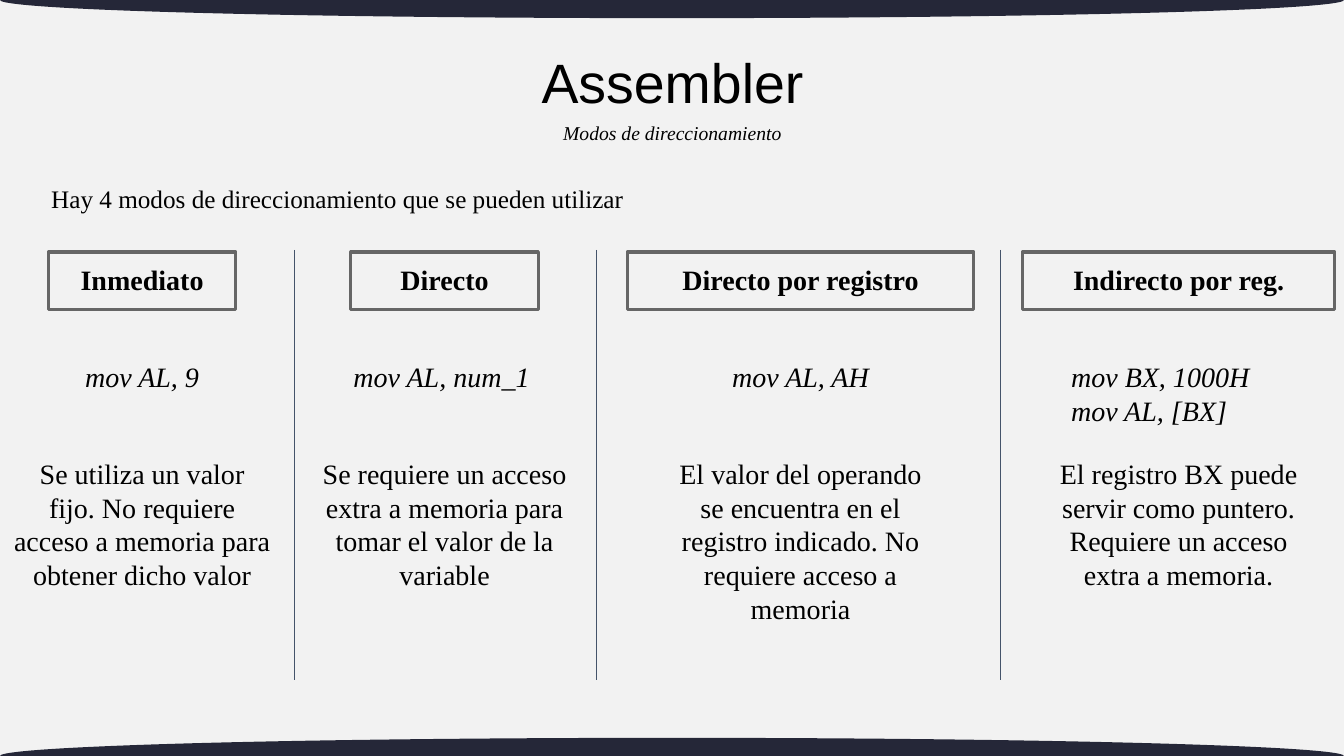
from pptx import Presentation
from pptx.dml.color import RGBColor
from pptx.enum.shapes import MSO_CONNECTOR, MSO_SHAPE
from pptx.enum.text import MSO_ANCHOR, PP_ALIGN
from pptx.oxml.ns import qn
from pptx.util import Inches, Pt
from lxml import etree

RECTANGLE, OVAL = MSO_SHAPE.RECTANGLE, MSO_SHAPE.OVAL
STRAIGHT = MSO_CONNECTOR.STRAIGHT
LEFT, CENTER = PP_ALIGN.LEFT, PP_ALIGN.CENTER
TOP, MIDDLE = MSO_ANCHOR.TOP, MSO_ANCHOR.MIDDLE

BLACK = RGBColor(0x00, 0x00, 0x00)
PAPER = RGBColor(0xF2, 0xF2, 0xF2)
NAVY = RGBColor(0x25, 0x27, 0x38)
GRAY = RGBColor(0x66, 0x66, 0x66)
SLATE = RGBColor(0x44, 0x54, 0x6A)

WIDTH, HEIGHT = 13.33, 7.5
TITLE_ONLY = 5
BAND_HEIGHT = 0.36
HEADING_TOP, CODE_TOP, NOTE_TOP = 2.5, 3.47, 4.43
ROW_HEIGHT, NOTE_WIDTH, NOTE_HEIGHT = 0.57, 2.75, 2.25
CODE_WIDTH = 2.33
DIVIDER_TOP, DIVIDER_BOTTOM = 2.48, 6.75
DIVIDERS = (2.92, 5.92, 9.92)

MODES = (
    {"center": 1.41, "heading": "Inmediato", "heading_width": 1.86,
     "code": ("mov AL, 9",), "code_center": 1.41,
     "note": "Se utiliza un valor fijo. No requiere acceso a memoria para "
             "obtener dicho valor"},
    {"center": 4.41, "heading": "Directo", "heading_width": 1.86,
     "code": ("mov AL, num_1",), "code_center": 4.38,
     "note": "Se requiere un acceso extra a memoria para tomar el valor de "
             "la variable"},
    {"center": 7.94, "heading": "Directo por registro", "heading_width": 3.44,
     "code": ("mov AL, AH",), "code_center": 7.94,
     "note": "El valor del operando se encuentra en el registro indicado. "
             "No requiere acceso a memoria"},
    {"center": 11.69, "heading": "Indirecto por reg.", "heading_width": 3.1,
     "code": ("mov BX, 1000H", "mov AL, [BX]"), "code_center": 11.69,
     "note": "El registro BX puede servir como puntero. Requiere un acceso "
             "extra a memoria."},
)


class SlideBuilder:
    serif = {"name": "Times New Roman", "size": Pt(20)}

    def __init__(self, page):
        self.page = page

    def apply(self, target, values):
        for name, value in values.items():
            setattr(target, name, value)

    def fill_text(self, shape, lines, font=None, align=CENTER, spacing=1.0,
                  anchor=TOP, inset=0.1):
        frame = shape.text_frame
        self.apply(frame, {
            "word_wrap": True, "vertical_anchor": anchor,
            "margin_left": Inches(0.1), "margin_right": Inches(0.1),
            "margin_top": Inches(inset), "margin_bottom": Inches(inset)})
        for index, line in enumerate(lines):
            para = frame.add_paragraph() if index else frame.paragraphs[0]
            self.apply(para, {"alignment": align, "line_spacing": spacing})
            span = para.add_run()
            span.text = line
            self.apply(span.font, {**self.serif, **(font or {})})
            span.font.color.rgb = BLACK

    def title(self, area, text):
        box = self.page.shapes.title
        sides = ("left", "top", "width", "height")
        self.apply(box, dict(zip(sides, map(Inches, area))))
        self.fill_text(box, [text], {"name": "Arial", "size": Pt(39.6)},
                       spacing=0.9, anchor=MIDDLE, inset=0.05)

    def text(self, area, lines, **style):
        box = self.page.shapes.add_textbox(*map(Inches, area))
        self.fill_text(box, lines, **style)

    def band(self, top):
        area = (0, top, WIDTH, BAND_HEIGHT)
        oval = self.page.shapes.add_shape(OVAL, *map(Inches, area))
        oval.shadow.inherit = False
        oval.fill.solid()
        oval.fill.fore_color.rgb = NAVY
        oval.line.fill.background()

    def heading(self, area, text):
        box = self.page.shapes.add_shape(RECTANGLE, *map(Inches, area))
        box.shadow.inherit = False
        box.fill.background()
        box.line.color.rgb = GRAY
        box.line.width = Pt(2.25)
        self.fill_text(box, [text], {"bold": True})

    def divider(self, x):
        ends = (x, DIVIDER_TOP, x, DIVIDER_BOTTOM)
        rule = self.page.shapes.add_connector(STRAIGHT, *map(Inches, ends))
        rule.line.color.rgb = SLATE
        rule.line.width = Pt(0.75)
        etree.SubElement(rule._element.spPr, qn("a:effectLst"))

    def mode(self, mode):
        def centered(center, top, width, height):
            return center - width / 2, top, width, height

        center, code = mode["center"], mode["code"]
        self.heading(centered(center, HEADING_TOP, mode["heading_width"],
                              ROW_HEIGHT), mode["heading"])
        code_height = ROW_HEIGHT + 0.32 * (len(code) - 1)
        self.text(centered(mode["code_center"], CODE_TOP, CODE_WIDTH,
                           code_height), code, font={"italic": True},
                  align=LEFT if len(code) > 1 else CENTER)
        self.text(centered(center, NOTE_TOP, NOTE_WIDTH, NOTE_HEIGHT),
                  [mode["note"]])


def main():
    deck = Presentation()
    deck.slide_width, deck.slide_height = Inches(WIDTH), Inches(HEIGHT)
    page = deck.slides.add_slide(deck.slide_layouts[TITLE_ONLY])
    page.background.fill.solid()
    page.background.fill.fore_color.rgb = PAPER

    builder = SlideBuilder(page)
    for edge in (0, HEIGHT):
        builder.band(edge - BAND_HEIGHT / 2)
    builder.title((3.51, 0.38, 6.32, 0.94), "Assembler")
    builder.text((0.41, 1.57, 7.74, 0.48),
                 ["Hay 4 modos de direccionamiento que se pueden utilizar"],
                 font={"size": Pt(18)}, align=LEFT, spacing=1.5)
    builder.text((4.4, 1.15, 4.54, 0.34), ["Modos de direccionamiento"],
                 font={"size": Pt(14), "italic": True}, inset=0.05)
    for x in DIVIDERS:
        builder.divider(x)
    for mode in MODES:
        builder.mode(mode)
    deck.save("out.pptx")


if __name__ == "__main__":
    main()
